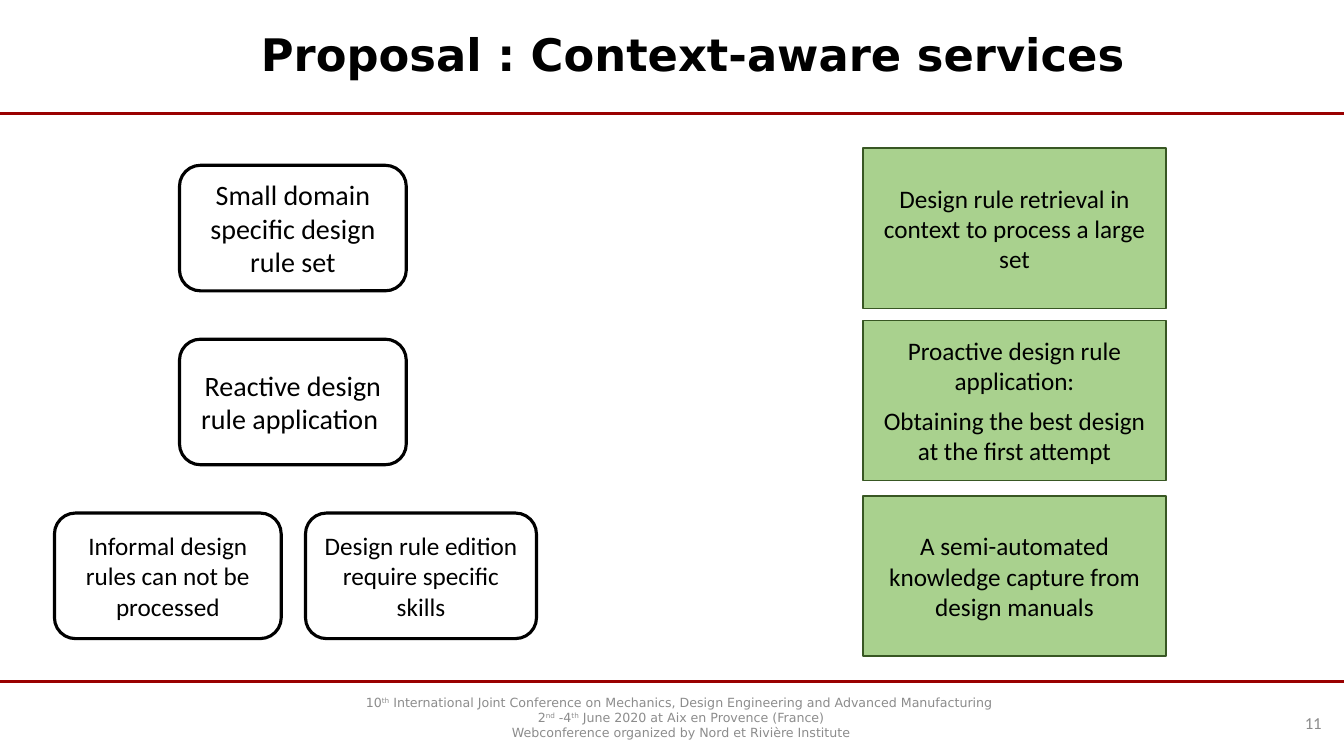
from dataclasses import dataclass

from lxml import etree
from pptx import Presentation
from pptx import util as u
from pptx.dml import color
from pptx.enum import shapes, text
from pptx.oxml import ns


@dataclass(frozen=True)
class Theme:
    black: str = "000000"
    white: str = "FFFFFF"
    grey: str = "8C8C8C"
    rule: str = "990000"
    service: str = "A9D18E"
    service_edge: str = "385723"
    body: str = "Calibri"
    display: str = "DejaVu Sans"
    title_size: float = 32
    large: float = 20
    medium: float = 18
    number: float = 12
    footer: float = 9
    thick: float = 2.25
    thin: float = 1


def apply(target, values):
    for name, value in values.items():
        setattr(target, name, value)


def rgb(value):
    return color.RGBColor.from_string(value)


class SlideBuilder:
    def __init__(self, slide, theme):
        self.slide = slide
        self.theme = theme

    def fill_text(self, sp, paragraphs, size, font=None, ink=None, bold=False, **layout):
        tf = sp.text_frame
        apply(tf, {"word_wrap": True, "vertical_anchor": text.MSO_ANCHOR.MIDDLE})
        layout = {"alignment": text.PP_ALIGN.CENTER, **layout}
        for i, runs in enumerate(paragraphs):
            p = tf.add_paragraph() if i else tf.paragraphs[0]
            apply(p, layout)
            if i == 0:
                p.space_before = u.Pt(0)
            for j, content in enumerate(runs):
                r = p.add_run()
                r.text = content
                apply(r.font, {"name": font or self.theme.body,
                               "size": u.Pt(size), "bold": bold})
                r.font.color.rgb = rgb(ink or self.theme.black)
                if j % 2:
                    r._r.get_or_add_rPr().set("baseline", "30000")

    def label(self, box, paragraphs, size, **style):
        sp = self.slide.shapes.add_textbox(*map(u.Pt, box))
        self.fill_text(sp, paragraphs, size, **style)

    def box(self, kind, box, fill, edge, weight, lines, size):
        sp = self.slide.shapes.add_shape(kind, *map(u.Pt, box))
        sp.shadow.inherit = False
        sp.fill.solid()
        sp.fill.fore_color.rgb = rgb(fill)
        sp.line.color.rgb = rgb(edge)
        sp.line.width = u.Pt(weight)
        self.fill_text(sp, [[line] for line in lines], size, space_before=u.Pt(7.2))

    def limitation(self, box, line, size):
        t = self.theme
        self.box(shapes.MSO_SHAPE.ROUNDED_RECTANGLE, box, t.white, t.black,
                 t.thick, [line], size)

    def service(self, box, lines):
        t = self.theme
        self.box(shapes.MSO_SHAPE.RECTANGLE, box, t.service, t.service_edge,
                 t.thin, lines, t.medium)

    def rule(self, y, width):
        line = self.slide.shapes.add_connector(
            shapes.MSO_CONNECTOR.STRAIGHT, *map(u.Pt, (0, y, width, y)))
        line.line.color.rgb = rgb(self.theme.rule)
        line.line.width = u.Pt(self.theme.thick)
        etree.SubElement(line._element.spPr, ns.qn("a:effectLst"))


def main():
    prs = Presentation()
    width, height = 960, 540
    apply(prs, {"slide_width": u.Pt(width), "slide_height": u.Pt(height)})
    t = Theme()
    s = SlideBuilder(prs.slides.add_slide(prs.slide_layouts[6]), t)

    for y in (486.7, 81):
        s.rule(y, width)

    s.label((179.3, 2.9, 725.8, 76.3), [["Proposal : Context-aware services"]],
            t.title_size, font=t.display, bold=True,
            alignment=text.PP_ALIGN.LEFT, line_spacing=0.9)
    s.label((905.8, 501.8, 45.4, 28.8), [["11"]], t.number, ink=t.grey,
            alignment=text.PP_ALIGN.RIGHT)
    s.label((238.3, 488.2, 496.1, 48.2), [
        ["10", "th", " International Joint Conference on Mechanics, "
                     "Design Engineering and Advanced Manufacturing "],
        ["2", "nd", " -4", "th", " June 2020 at Aix en Provence (France)"],
        ["Webconference organized by Nord et Rivière Institute"],
    ], t.footer, font=t.display, ink=t.grey)

    top, pitch = 118.1, 124.2
    for row, x, w, size, line in (
        (0, 128.2, 162, t.large, "Small domain specific design rule set"),
        (1, 128.2, 162, t.large, "Reactive design rule application "),
        (2, 38.9, 162, t.medium, "Informal design rules can not be processed"),
        (2, 218.2, 165, t.medium, "Design rule edition require specific skills"),
    ):
        s.limitation((x, top + row * pitch, w, 89.7), line, size)

    for y, lines in (
        (105.8, ["Design rule retrieval in context to process a large set"]),
        (228.8, ["Proactive design rule application:",
                 "Obtaining the best design at the first attempt"]),
        (354.2, ["A semi-automated knowledge capture from design manuals"]),
    ):
        s.service((616.3, y, 216.7, 114.5), lines)

    prs.save("out.pptx")


if __name__ == "__main__":
    main()
